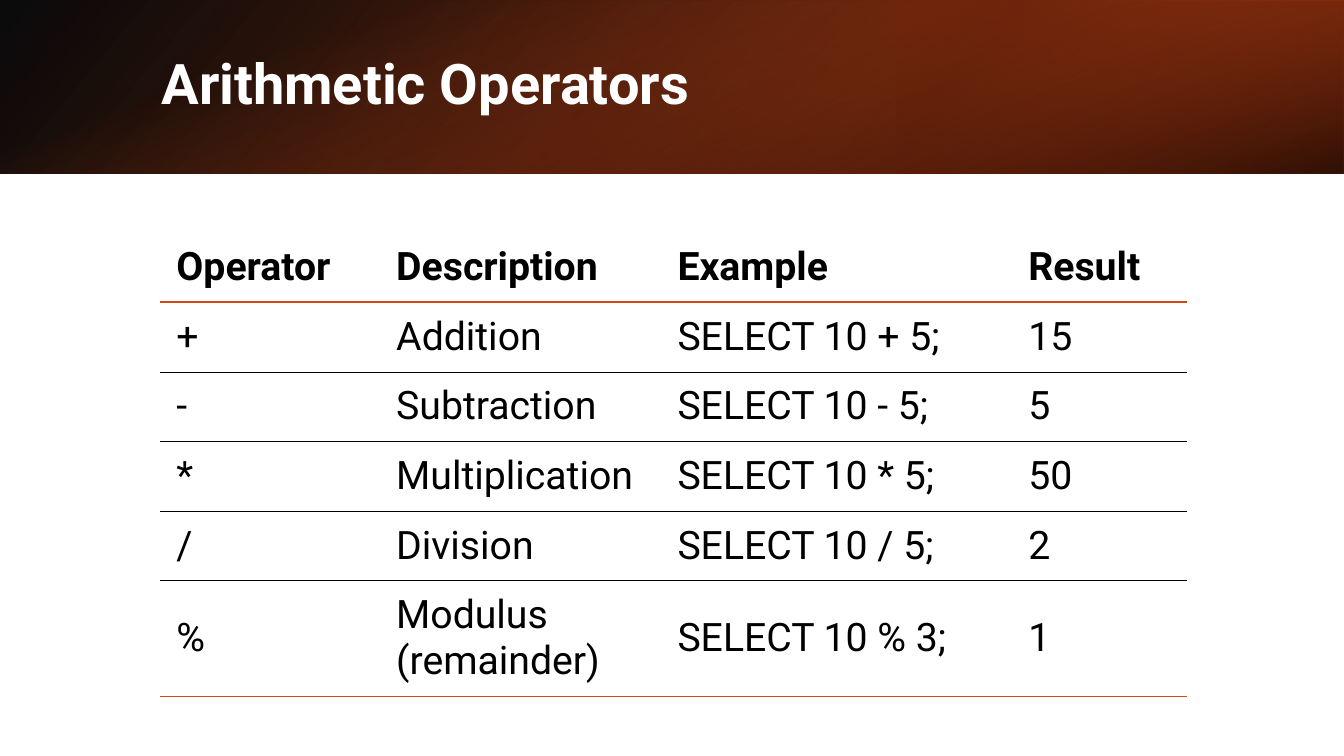
from dataclasses import dataclass

from lxml.etree import SubElement
from pptx import Presentation
from pptx.dml.color import RGBColor
from pptx.enum.shapes import MSO_SHAPE
from pptx.enum.text import MSO_ANCHOR, MSO_AUTO_SIZE, PP_ALIGN
from pptx.oxml import parse_xml
from pptx.oxml.ns import nsdecls, qn
from pptx.slide import Slide
from pptx.table import _Cell
from pptx.text.text import _Paragraph
from pptx.util import Inches, Pt

BLACK = RGBColor(0x00, 0x00, 0x00)
WHITE = RGBColor(0xFF, 0xFF, 0xFF)
ORANGE = RGBColor(0xD3, 0x48, 0x17)
RUST = RGBColor(0x9E, 0x36, 0x11)
BROWN = RGBColor(0x69, 0x24, 0x0C)
NO_STYLE = "{2D5ABB26-0587-4C30-8999-92F81FD0307C}"


@dataclass(frozen=True)
class Stop:
    position: int
    color: RGBColor
    opacity: int


@dataclass(frozen=True)
class Band:
    left: float
    top: float
    width: float
    height: float
    stops: tuple[Stop, Stop]
    angle: int
    rotation: int = 0
    flipped: bool = False


@dataclass(frozen=True)
class Rule:
    color: RGBColor
    points: float


@dataclass(frozen=True)
class Row:
    operator: str
    description: str
    example: str
    result: str
    height: float = 0.69


BANDS = (
    Band(0, 0, 13.33, 1.72, (Stop(0, BLACK, 96), Stop(100, RUST, 100)), 140, flipped=True),
    Band(8.89, 0, 4.44, 1.72, (Stop(19, BROWN, 68), Stop(100, ORANGE, 79)), 320, 180, True),
    Band(5.8, -5.8, 1.72, 13.33, (Stop(23, ORANGE, 0), Stop(99, BLACK, 74)), 340, 90),
)
ROWS = (
    Row("Operator", "Description", "Example", "Result"),
    Row("+", "Addition", "SELECT 10 + 5;", "15"),
    Row("-", "Subtraction", "SELECT 10 - 5;", "5"),
    Row("*", "Multiplication", "SELECT 10 * 5;", "50"),
    Row("/", "Division", "SELECT 10 / 5;", "2"),
    Row("%", "Modulus (remainder)", "SELECT 10 % 3;", "1", 1.15),
)
COLUMN_WIDTHS = (2.18, 2.79, 3.48, 1.73)
HEADER_RULE = Rule(ORANGE, 1.5)
INNER_RULE = Rule(BLACK, 0.25)
CLOSING_RULE = Rule(ORANGE, 1)
RULES = (None, HEADER_RULE, *[INNER_RULE] * (len(ROWS) - 2), CLOSING_RULE)


def apply(target: object, values: dict[str, object]) -> None:
    for name, value in values.items():
        setattr(target, name, value)


def write(paragraph: _Paragraph, text: str, size: int, color: RGBColor, bold: bool) -> None:
    run = paragraph.add_run()
    run.text = text
    apply(run.font, {"name": "Roboto", "size": Pt(size), "bold": bold})
    run.font.color.rgb = color


def add_band(slide: Slide, band: Band) -> None:
    shape = slide.shapes.add_shape(
        MSO_SHAPE.RECTANGLE,
        Inches(band.left), Inches(band.top), Inches(band.width), Inches(band.height),
    )
    shape.shadow.inherit = False
    shape.line.fill.background()
    shape.rotation = band.rotation
    properties = shape._element.spPr
    if band.flipped:
        properties.find(qn("a:xfrm")).set("flipH", "1")
    stops = "".join(
        f'<a:gs pos="{stop.position * 1000}"><a:srgbClr val="{stop.color}">'
        f'<a:alpha val="{stop.opacity * 1000}"/></a:srgbClr></a:gs>'
        for stop in band.stops
    )
    gradient = parse_xml(
        f'<a:gradFill {nsdecls("a")} rotWithShape="1"><a:gsLst>{stops}</a:gsLst>'
        f'<a:lin ang="{band.angle * 60000}" scaled="0"/></a:gradFill>'
    )
    properties.find(qn("a:prstGeom")).addnext(gradient)


def place_title(slide: Slide, text: str) -> None:
    title = slide.shapes.title
    apply(title, {"left": Inches(1.5), "top": Inches(0.38),
                  "width": Inches(10.98), "height": Inches(0.96)})
    apply(title.text_frame, {"vertical_anchor": MSO_ANCHOR.MIDDLE, "word_wrap": True,
                             "auto_size": MSO_AUTO_SIZE.NONE})
    paragraph = title.text_frame.paragraphs[0]
    apply(paragraph, {"alignment": PP_ALIGN.LEFT, "line_spacing": 0.9})
    write(paragraph, text, 40, WHITE, True)
    slide.shapes._spTree.append(title._element)


def set_rules(cell: _Cell, above: Rule | None, below: Rule | None) -> None:
    properties = cell._tc.get_or_add_tcPr()
    edges = []
    for tag, rule in (("a:lnT", above), ("a:lnB", below)):
        if rule:
            edge = SubElement(properties, qn(tag), w=str(Pt(rule.points)))
            fill = SubElement(edge, qn("a:solidFill"))
            SubElement(fill, qn("a:srgbClr"), val=str(rule.color))
            edges.append(edge)
    for index, edge in enumerate(edges):
        properties.insert(index, edge)


def add_operator_table(slide: Slide) -> None:
    frame = slide.shapes.add_table(
        len(ROWS), len(COLUMN_WIDTHS), Inches(1.59), Inches(2.31),
        Inches(sum(COLUMN_WIDTHS)), Inches(sum(row.height for row in ROWS)),
    )
    table = frame.table
    apply(table, {"first_row": False, "horz_banding": False})
    table._tbl.tblPr.find(qn("a:tableStyleId")).text = NO_STYLE
    for column, width in zip(table.columns, COLUMN_WIDTHS):
        column.width = Inches(width)
    for row_index, row in enumerate(ROWS):
        table.rows[row_index].height = Inches(row.height)
        texts = (row.operator, row.description, row.example, row.result)
        for column_index, text in enumerate(texts):
            cell = table.cell(row_index, column_index)
            apply(cell, {"margin_left": Inches(0.16), "margin_right": Inches(0.16),
                         "margin_top": Inches(0.08), "margin_bottom": Inches(0.08),
                         "vertical_anchor": MSO_ANCHOR.MIDDLE})
            cell.fill.background()
            write(cell.text_frame.paragraphs[0], text, 28, BLACK, row_index == 0)
            set_rules(cell, RULES[row_index], RULES[row_index + 1])


def main() -> None:
    presentation = Presentation()
    apply(presentation, {"slide_width": Inches(13.33), "slide_height": Inches(7.5)})
    slide = presentation.slides.add_slide(presentation.slide_layouts.get_by_name("Title Only"))
    for band in BANDS:
        add_band(slide, band)
    place_title(slide, "Arithmetic Operators")
    add_operator_table(slide)
    presentation.save("out.pptx")


if __name__ == "__main__":
    main()
